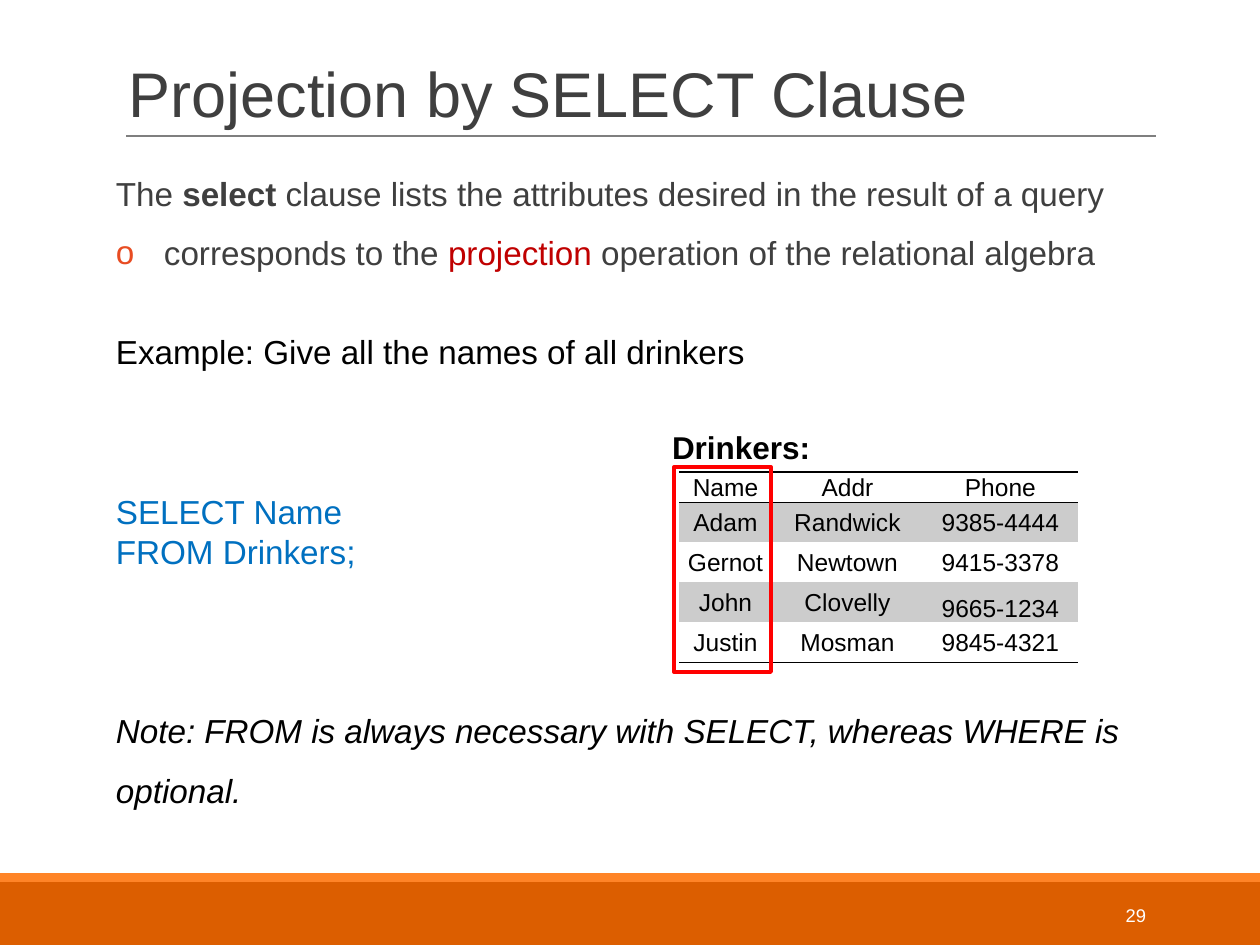
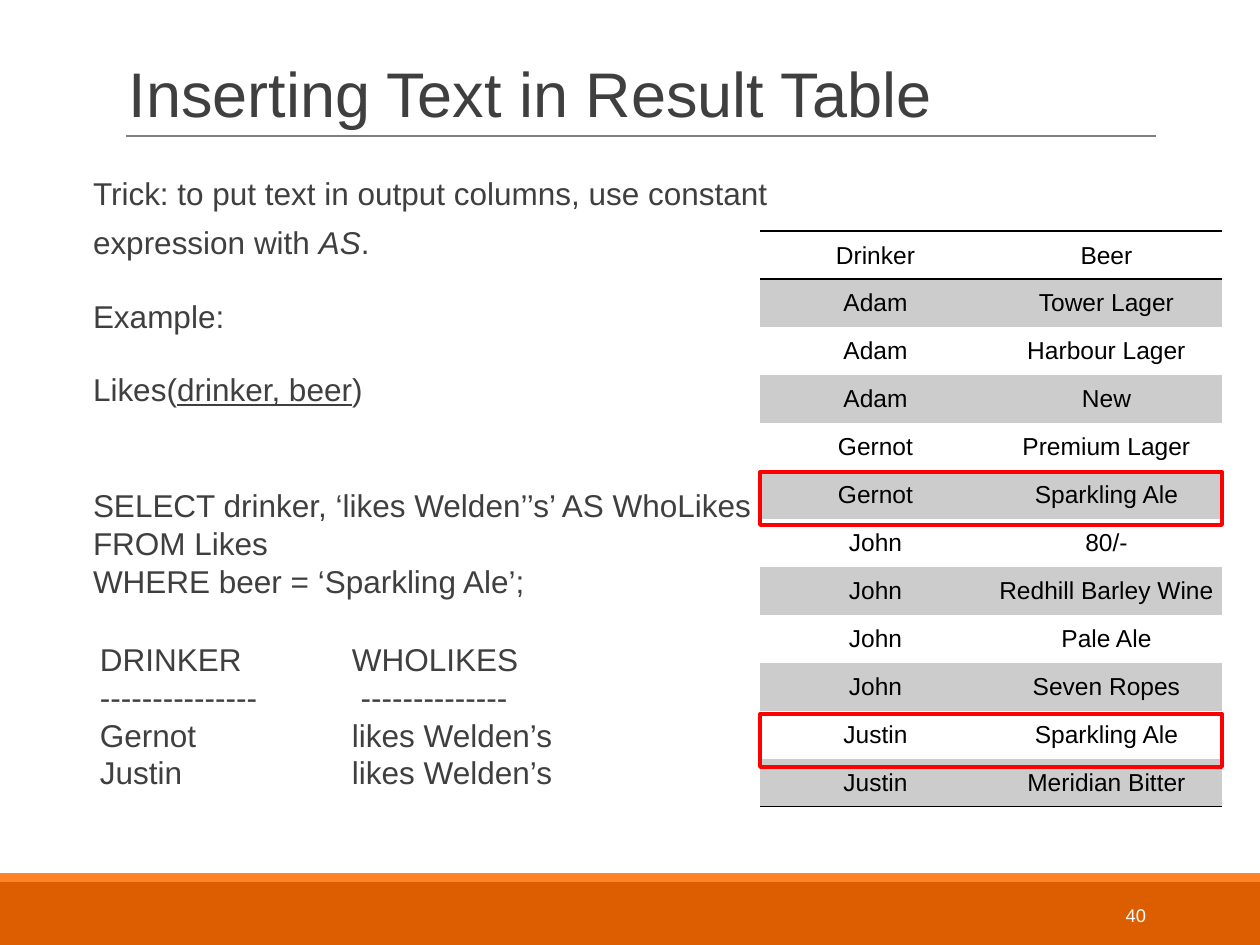
from dataclasses import dataclass

from lxml.etree import SubElement
from pptx import Presentation
from pptx.dml.color import RGBColor as Color
from pptx.enum.shapes import MSO_CONNECTOR as Connector, MSO_SHAPE as Shape
from pptx.enum.text import MSO_ANCHOR as Anchor, MSO_AUTO_SIZE as AutoSize, PP_ALIGN as Align
from pptx.oxml import parse_xml
from pptx.oxml.ns import nsdecls, qn
from pptx.util import Emu, Pt


@dataclass(frozen=True)
class Theme:
    font: str = "Arial"
    ink: str = "3F3F3F"
    black: str = "000000"
    white: str = "FFFFFF"
    band: str = "DC5E00"
    stripe: str = "FF8427"
    rule: str = "7F7F7F"
    bullet: str = "E84C22"
    term: str = "C00000"
    query: str = "0070C0"
    marker: str = "FF0000"
    shade: str = "CCCCCC"
    title_size: float = 36
    lead_size: float = 19
    body_size: float = 18
    cell_size: float = 14
    number_size: float = 10.5
    single: float = 1.0
    wide: float = 1.3
    loose: float = 1.5


THEME = Theme()
PLAIN_TABLE = "{2D5ABB26-0587-4C30-8999-92F81FD0307C}"


def px(length):
    return Emu(round(length * 914400 / 126))


def place(*lengths):
    return [px(length) for length in lengths]


def assign(target, values):
    for name, value in values.items():
        setattr(target, name, value)


def add_span(para, text, size, color=THEME.ink, **style):
    span = para.add_run()
    span.text = text
    assign(span.font, {"name": THEME.font, "size": Pt(size), **style})
    span.font.color.rgb = Color.from_string(color)


def add_bullet(para, indent):
    properties = para._p.get_or_add_pPr()
    properties.set("marL", str(px(indent)))
    properties.set("indent", str(-px(indent)))
    color = SubElement(properties, qn("a:buClr"))
    SubElement(color, qn("a:srgbClr"), val=THEME.bullet)
    SubElement(properties, qn("a:buFont"), typeface=THEME.font)
    SubElement(properties, qn("a:buChar"), char="o")


def add_tab(para, position):
    tabs = SubElement(para._p.get_or_add_pPr(), qn("a:tabLst"))
    SubElement(tabs, qn("a:tab"), pos=str(px(position)), algn="l")


def write_lines(frame, lines, size):
    for index, (spans, layout) in enumerate(lines):
        para = frame.add_paragraph() if index else frame.paragraphs[0]
        values = dict(layout)
        bullet = values.pop("bullet", None)
        tab = values.pop("tab", None)
        if bullet:
            add_bullet(para, bullet)
        if tab:
            add_tab(para, tab)
        assign(para, values)
        for text, style in spans:
            add_span(para, text, size, **style)


def add_text(page, bounds, lines, size, inset=0, anchor=Anchor.TOP):
    frame = page.shapes.add_textbox(*place(*bounds)).text_frame
    assign(frame, {
        "word_wrap": True, "vertical_anchor": anchor,
        "margin_left": px(inset), "margin_right": px(inset),
        "margin_top": px(6), "margin_bottom": px(6),
    })
    write_lines(frame, lines, size)


def line(text, spacing=THEME.single, before=0, style=None, **layout):
    spans = [(text, style or {})] if isinstance(text, str) else text
    values = {"line_spacing": spacing, **layout}
    if before:
        values["space_before"] = px(before)
    return spans, values


def add_band(page, bounds, color):
    band = page.shapes.add_shape(Shape.RECTANGLE, *place(*bounds))
    band.shadow.inherit = False
    band.fill.solid()
    band.fill.fore_color.rgb = Color.from_string(color)
    band.line.fill.background()


def add_marker(page, bounds):
    marker = page.shapes.add_shape(Shape.RECTANGLE, *place(*bounds))
    marker.shadow.inherit = False
    marker.fill.background()
    marker.line.color.rgb = Color.from_string(THEME.marker)
    marker.line.width = Pt(2.25)


def add_rule(page, left, right, top):
    rule = page.shapes.add_connector(Connector.STRAIGHT, *place(left, top, right, top))
    rule.line.color.rgb = Color.from_string(THEME.rule)
    rule.line.width = Pt(0.75)
    SubElement(rule._element.spPr, qn("a:effectLst"))


def add_page(deck, title, number):
    page = deck.slides.add_slide(deck.slide_layouts[5])
    add_band(page, (0, 882, 1260, 63), THEME.band)
    add_band(page, (0, 873, 1260, 9), THEME.stripe)
    add_rule(page, 126, 1156, 136)
    heading = page.shapes.title
    assign(heading, dict(zip(("left", "top", "width", "height"), place(116, 40, 1029, 97))))
    assign(heading.text_frame, {
        "auto_size": AutoSize.NONE, "word_wrap": True, "vertical_anchor": Anchor.BOTTOM,
    })
    title_line = line(title, 0.85, alignment=Align.LEFT)
    write_lines(heading.text_frame, [title_line], THEME.title_size)
    number_line = line(number, style={"color": THEME.white}, alignment=Align.RIGHT)
    add_text(page, (1023, 890, 136, 50), [number_line], THEME.number_size, 13, Anchor.MIDDLE)
    return page


def add_border(cell, side):
    border = parse_xml(
        f'<a:{side} {nsdecls("a")} w="12700"><a:solidFill>'
        f'<a:srgbClr val="{THEME.black}"/></a:solidFill></a:{side}>'
    )
    cell._tc.get_or_add_tcPr().insert(0, border)


def fill_cell(cell, text, shaded):
    assign(cell, {
        "margin_left": px(1), "margin_right": px(1), "margin_top": px(1),
        "margin_bottom": 0, "vertical_anchor": Anchor.MIDDLE,
    })
    text_line = line(text, style={"color": THEME.black}, alignment=Align.CENTER)
    write_lines(cell.text_frame, [text_line], THEME.cell_size)
    if shaded:
        cell.fill.solid()
        cell.fill.fore_color.rgb = Color.from_string(THEME.shade)
    else:
        cell.fill.background()


def add_striped_table(page, left, top, widths, heights, rows):
    bounds = place(left, top, sum(widths), sum(heights))
    table = page.shapes.add_table(len(rows), len(widths), *bounds).table
    assign(table, {"first_row": False, "horz_banding": False})
    table._tbl.tblPr.find(qn("a:tableStyleId")).text = PLAIN_TABLE
    for column, width in zip(table.columns, widths):
        column.width = px(width)
    for row, height in zip(table.rows, heights):
        row.height = px(height)
    for row_index, texts in enumerate(rows):
        for column_index, text in enumerate(texts):
            cell = table.cell(row_index, column_index)
            fill_cell(cell, text, row_index % 2 == 1)
            if row_index in (0, len(rows) - 1):
                add_border(cell, "lnB")
            if row_index == 0:
                add_border(cell, "lnT")
    return table


def build_projection(deck):
    page = add_page(deck, "Projection by SELECT Clause", "29")
    black, query = {"color": THEME.black}, {"color": THEME.query}
    add_text(page, (116, 147, 1029, 661), [
        line([("The ", {}), ("select", {"bold": True}),
              (" clause lists the attributes desired in the result of a query", {})],
             THEME.loose),
        line([("corresponds to the ", {}), ("projection", {"color": THEME.term}),
              (" operation of the relational algebra", {})], THEME.loose, bullet=48),
        line("Example: Give all the names of all drinkers", before=59, style=black),
        line("SELECT Name", before=120, style=query),
        line("FROM Drinkers;", style=query),
        line("Note: FROM is always necessary with SELECT, whereas WHERE is optional.",
             THEME.loose, 119, {**black, "italic": True}),
    ], THEME.lead_size)
    drinkers = add_striped_table(page, 679, 472, [93, 151, 155], [29] + [40] * 4, [
        ("Name", "Addr", "Phone"),
        ("Adam", "Randwick", "9385-4444"),
        ("Gernot", "Newtown", "9415-3378"),
        ("John", "Clovelly", "9665-1234"),
        ("Justin", "Mosman", "9845-4321"),
    ])
    drinkers.cell(3, 2).vertical_anchor = Anchor.BOTTOM
    add_marker(page, (674, 467, 97, 205))
    caption = line("Drinkers:", style={**black, "bold": True})
    add_text(page, (659, 422, 210, 50), [caption], THEME.body_size, 13)


def build_inserted_text(deck):
    page = add_page(deck, "Inserting Text in Result Table", "40")
    add_text(page, (93, 157, 737, 460), [
        line([("Trick: to put text in output columns, use constant expression with ", {}),
              ("AS", {"italic": True}), (".", {})], THEME.wide),
        line("Example:", THEME.wide, 24),
        line([("Likes(", {}), ("drinker, beer", {"underline": True}), (")", {})],
             THEME.wide, 24),
        line("SELECT drinker, ‘likes Welden’’s’ AS WhoLikes", before=79),
        line("FROM Likes"),
        line("WHERE beer = ‘Sparkling Ale’;"),
    ], THEME.body_size)
    results = [
        ("DRINKER", "WHOLIKES"),
        ("---------------", " --------------"),
        ("Gernot", "likes Welden’s"),
        ("Justin", "likes Welden’s"),
    ]
    result_lines = [line("\t".join(row), tab=252) for row in results]
    add_text(page, (100, 634, 640, 165), result_lines, THEME.body_size)
    add_striped_table(page, 760, 231, [231] * 2, [48] * 12, [
        ("Drinker", "Beer"),
        ("Adam", "Tower Lager"),
        ("Adam", "Harbour Lager"),
        ("Adam", "New"),
        ("Gernot", "Premium Lager"),
        ("Gernot", "Sparkling Ale"),
        ("John", "80/-"),
        ("John", "Redhill Barley Wine"),
        ("John", "Pale Ale"),
        ("John", "Seven Ropes"),
        ("Justin", "Sparkling Ale"),
        ("Justin", "Meridian Bitter"),
    ])
    for top in (714, 472):
        add_marker(page, (760, top, 462, 53))


def main():
    deck = Presentation()
    deck.slide_width, deck.slide_height = place(1260, 945)
    build_projection(deck)
    build_inserted_text(deck)
    deck.save("out.pptx")


if __name__ == "__main__":
    main()
